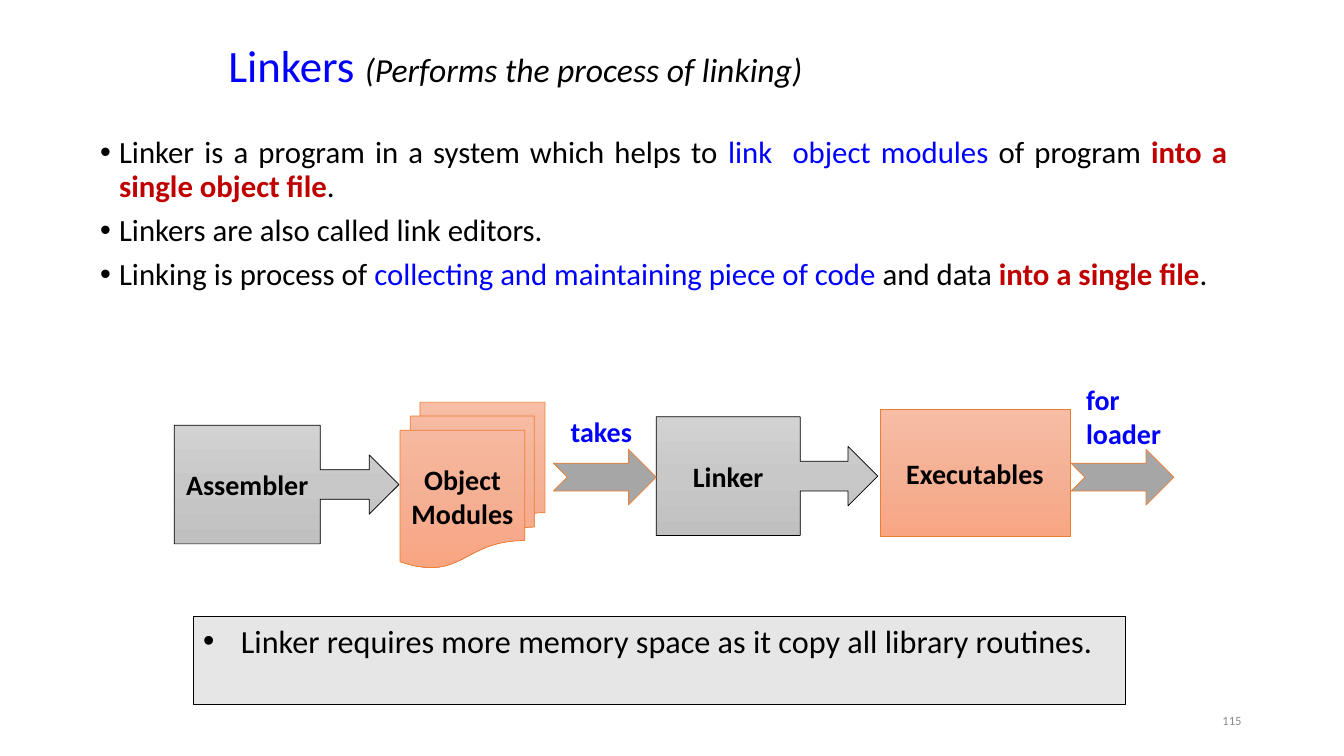
from copy import deepcopy
from dataclasses import dataclass

from lxml.etree import SubElement
from pptx import Presentation
from pptx.dml.color import RGBColor as Rgb
from pptx.enum.shapes import MSO_SHAPE as Shape
from pptx.enum.text import MSO_ANCHOR as Anchor, PP_ALIGN as Align
from pptx.oxml.ns import qn
from pptx.util import Emu, Pt


@dataclass(frozen=True)
class Theme:
    font: str = "Calibri"
    black: str = "000000"
    blue: str = "0000FF"
    red: str = "C00000"
    orange: str = "ED7D31"
    arrow: str = "A6A6A6"
    note: str = "E7E6E6"
    number: str = "8C8C8C"
    grays: tuple = ("D2D2D2", "C8C8C8", "C0C0C0")
    peaches: tuple = ("F7BDA5", "F5B196", "F8A582")
    title_size: int = 32
    subtitle_size: int = 24
    body_size: int = 22
    note_size: int = 23
    label_size: int = 20
    number_size: int = 9


theme = Theme()
PX = 9525


def write(para, spans, size, align=Align.LEFT, bold=None, indent=0):
    if indent:
        properties = para._p.get_or_add_pPr()
        properties.set("marL", str(indent * PX))
        properties.set("indent", str(-indent * PX))
        SubElement(properties, qn("a:buFont"), typeface="Arial")
        SubElement(properties, qn("a:buChar"), char="•")
    para.alignment = align
    para.font.name = theme.font
    para.font.size = Pt(size)
    para.font.bold = bold
    for text, color in spans:
        span = para.add_run()
        span.text = text
        span.font.color.rgb = Rgb.from_string(color)
        if color == theme.red:
            span.font.bold = True


def add_box(kind, bounds, fills, line, width=0.5):
    box = page.shapes.add_shape(kind, *[Emu(n * PX) for n in bounds])
    box.shadow.inherit = False
    box.line.color.rgb = Rgb.from_string(line)
    box.line.width = Pt(width)
    if len(fills) == 1:
        box.fill.solid()
        box.fill.fore_color.rgb = Rgb.from_string(fills[0])
    else:
        box.fill.gradient()
        box.fill.gradient_angle = 270
        stops = box._element.spPr.find(".//" + qn("a:gsLst"))
        stops.append(deepcopy(stops[0]))
        for index, (stop, color) in enumerate(zip(box.fill.gradient_stops, fills)):
            stop.position = index / 2
            stop.color.rgb = Rgb.from_string(color)
    return box


deck = Presentation()
deck.slide_width = Emu(1280 * PX)
deck.slide_height = Emu(720 * PX)
page = deck.slides.add_slide(deck.slide_layouts[6])

frames = []
for bounds, anchor in [
    ((208, 5, 864, 120), Anchor.MIDDLE),
    ((86, 126, 1092, 227), Anchor.TOP),
    ((904, 667, 288, 38), Anchor.MIDDLE),
]:
    frame = page.shapes.add_textbox(*[Emu(n * PX) for n in bounds]).text_frame
    frame.word_wrap = True
    frame.vertical_anchor = anchor
    frames.append(frame)
title, body, number = frames

heading = title.paragraphs[0]
heading.line_spacing = 0.9
write(
    heading,
    [("Linkers ", theme.blue), ("(Performs the process of linking)", theme.black)],
    theme.title_size,
)
subtitle = heading.runs[1].font
subtitle.size = Pt(theme.subtitle_size)
subtitle.italic = True

bullets = [
    [
        ("Linker is a program in a system which helps to ", theme.black),
        ("link  object modules ", theme.blue),
        ("of program ", theme.black),
        ("into a single object file", theme.red),
        (".", theme.black),
    ],
    [("Linkers are also called link editors.", theme.black)],
    [
        ("Linking is process of ", theme.black),
        ("collecting and maintaining piece of code ", theme.blue),
        ("and data ", theme.black),
        ("into a single file", theme.red),
        (".", theme.black),
    ],
]
for index, spans in enumerate(bullets):
    para = body.add_paragraph() if index else body.paragraphs[0]
    write(para, spans, theme.body_size, Align.JUSTIFY, indent=18)
    para.line_spacing = 0.9
    para.space_before = Pt(4 if index else 0)
    para.space_after = Pt(4)

write(number.paragraphs[0], [("115", theme.number)], theme.number_size, Align.RIGHT)

stages = [
    (Shape.FLOWCHART_MULTIDOCUMENT, (381, 383, 138, 158), "Object Modules", theme.peaches, theme.orange),
    (Shape.RIGHT_ARROW_CALLOUT, (166, 405, 214, 113), "Assembler", theme.grays, theme.black),
    (Shape.RIGHT_ARROW_CALLOUT, (625, 397, 211, 113), "Linker", theme.grays, theme.black),
    (Shape.RECTANGLE, (838, 390, 181, 121), "Executables", theme.peaches, theme.orange),
]
for kind, bounds, name, fills, line in stages:
    stage = add_box(kind, bounds, fills, line).text_frame
    stage.vertical_anchor = Anchor.MIDDLE
    write(stage.paragraphs[0], [(name, theme.black)], theme.label_size, Align.CENTER, bold=True)

for arrow_left, bounds, name in [
    (527, (534, 390, 84, 42), "takes"),
    (1020, (1025, 360, 91, 74), "for loader"),
]:
    add_box(Shape.NOTCHED_RIGHT_ARROW, (arrow_left, 428, 98, 53), [theme.arrow], theme.orange)
    label = page.shapes.add_textbox(*[Emu(n * PX) for n in bounds]).text_frame
    label.word_wrap = True
    write(label.paragraphs[0], [(name, theme.blue)], theme.label_size, bold=True)

note = add_box(Shape.RECTANGLE, (184, 587, 888, 84), [theme.note], theme.black, 0.75).text_frame
note.vertical_anchor = Anchor.TOP
write(
    note.paragraphs[0],
    [("Linker requires more memory space as it copy all library routines.", theme.black)],
    theme.note_size,
    Align.JUSTIFY,
    indent=36,
)

deck.save("out.pptx")
